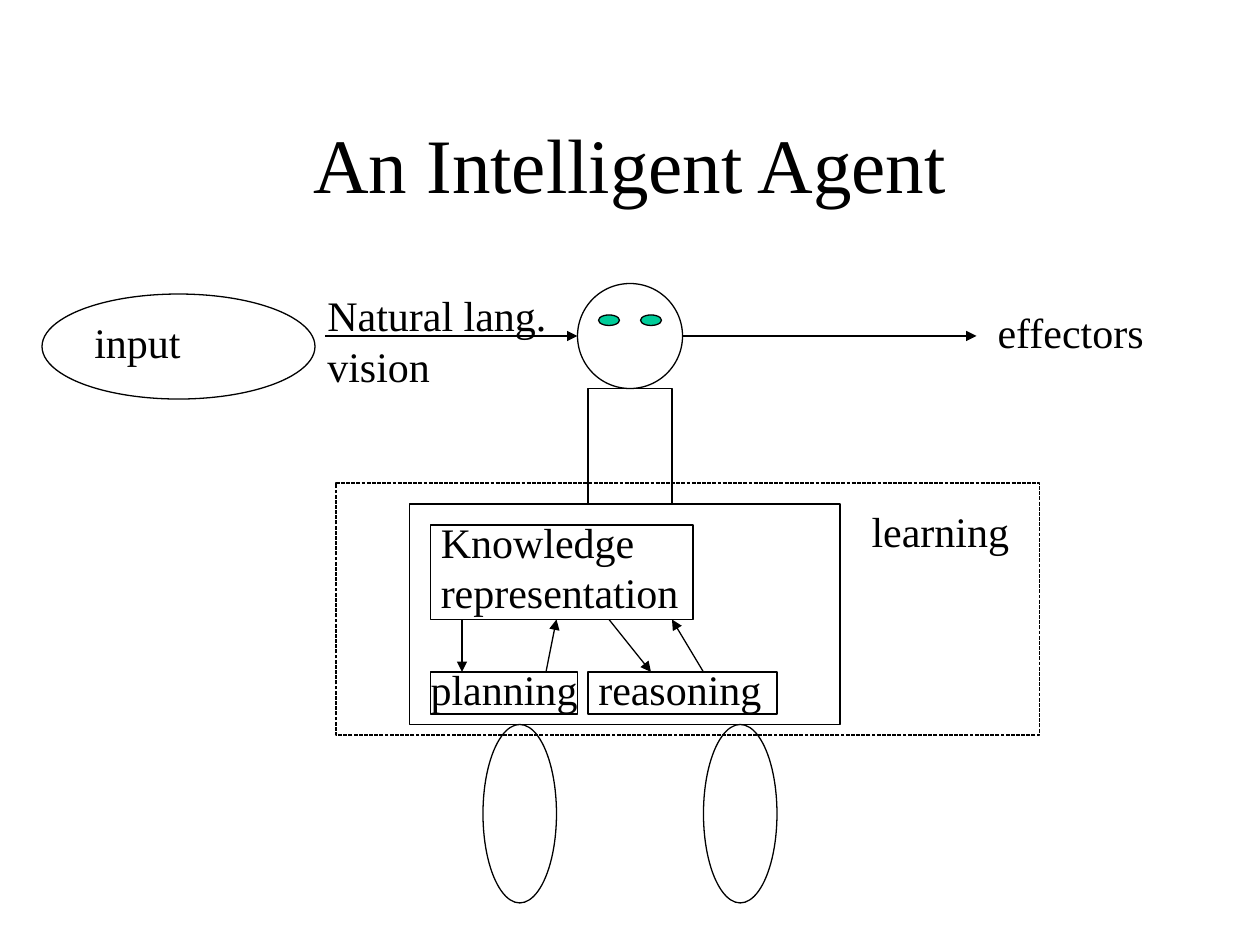
from lxml import etree
from pptx import Presentation, util as u
from pptx.dml.color import RGBColor
from pptx.enum import dml, shapes, text
from pptx.oxml.ns import qn

Pt = u.Pt
BLACK = RGBColor(0, 0, 0)
GREEN = RGBColor(0x00, 0xCC, 0x99)
FONT = "Times New Roman"
RECT = shapes.MSO_SHAPE.RECTANGLE
OVAL = shapes.MSO_SHAPE.OVAL

# Content: shapes as kind, (left, top, width, height), fill, dash
BODY = [
    (RECT, (234, 288, 246, 126), None, None),  # torso
    (OVAL, (276, 414, 42, 102), None, None),   # legs
    (OVAL, (402, 414, 42, 102), None, None),
    (RECT, (336, 222, 48, 66), None, None),    # neck
    (OVAL, (330, 162, 60, 60), None, None),    # head
    (OVAL, (342, 180, 12, 6), GREEN, None),    # eyes
    (OVAL, (366, 180, 12, 6), GREEN, None),
]
MODULES = [
    (RECT, (246, 300, 150, 54), None, None),   # knowledge representation
    (RECT, (246, 384, 84, 24), None, None),    # planning
    (RECT, (336, 384, 108, 24), None, None),   # reasoning
    (RECT, (192, 276, 402, 144), None, dml.MSO_LINE.SQUARE_DOT),  # learning
    (OVAL, (24, 168, 156, 60), None, None),    # input
]
ARROWS = [
    (264, 354, 264, 384),  # knowledge to planning
    (312, 384, 318, 354),  # planning to knowledge
    (348, 354, 372, 384),  # knowledge to reasoning
    (402, 384, 384, 354),  # reasoning to knowledge
    (186, 192, 330, 192),  # input to head
    (390, 192, 558, 192),  # head to effectors
]
TITLE = ("An Intelligent Agent", (54, 48, 612, 90))
LABELS = [
    ("Knowledge\nrepresentation", (244.8, 291.6, 152, 64.8)),
    ("planning", (239, 375.4, 100, 36)),
    ("reasoning", (334.8, 375.4, 109, 36)),
    ("learning", (491, 285.1, 94, 36)),
    ("input", (46.8, 177.1, 65, 36)),
    ("Natural lang.\nvision", (180, 162, 141, 64.8)),
    ("effectors", (563, 171.4, 99, 36)),
]


def add_outline(s, kind, box, fill, dash):
    sp = s.shapes.add_shape(kind, *map(Pt, box))
    sp.shadow.inherit = False
    if fill is None:
        sp.fill.background()
    else:
        sp.fill.solid()
        sp.fill.fore_color.rgb = fill
    sp.line.color.rgb = BLACK
    sp.line.width = Pt(0.75)
    if dash is not None:
        sp.line.dash_style = dash


def add_arrow(s, ends):
    c = s.shapes.add_connector(shapes.MSO_CONNECTOR.STRAIGHT, *map(Pt, ends))
    c.line.color.rgb = BLACK
    c.line.width = Pt(0.75)
    etree.SubElement(c.line._get_or_add_ln(), qn("a:tailEnd"), type="triangle")
    etree.SubElement(c._element.spPr, qn("a:effectLst"))


def add_text(s, words, box, size, align, wrap, spacing=None):
    tf = s.shapes.add_textbox(*map(Pt, box)).text_frame
    tf.word_wrap = wrap
    tf.text = words
    for p in tf.paragraphs:
        p.alignment = align
        p.line_spacing = spacing
        p.font.name = FONT
        p.font.size = Pt(size)
        p.font.color.rgb = BLACK
    return tf


prs = Presentation()
prs.slide_width, prs.slide_height = Pt(720), Pt(540)
s = prs.slides.add_slide(prs.slide_layouts[6])

# Title
tf = add_text(s, *TITLE, 44, text.PP_ALIGN.CENTER, True)
tf.vertical_anchor = text.MSO_ANCHOR.MIDDLE

# Agent figure, its modules and the flow between them
for outline in BODY + MODULES:
    add_outline(s, *outline)
for ends in ARROWS:
    add_arrow(s, ends)

# Labels
for words, box in LABELS:
    add_text(s, words, box, 24, text.PP_ALIGN.LEFT, False, Pt(28.8))

prs.save("out.pptx")
